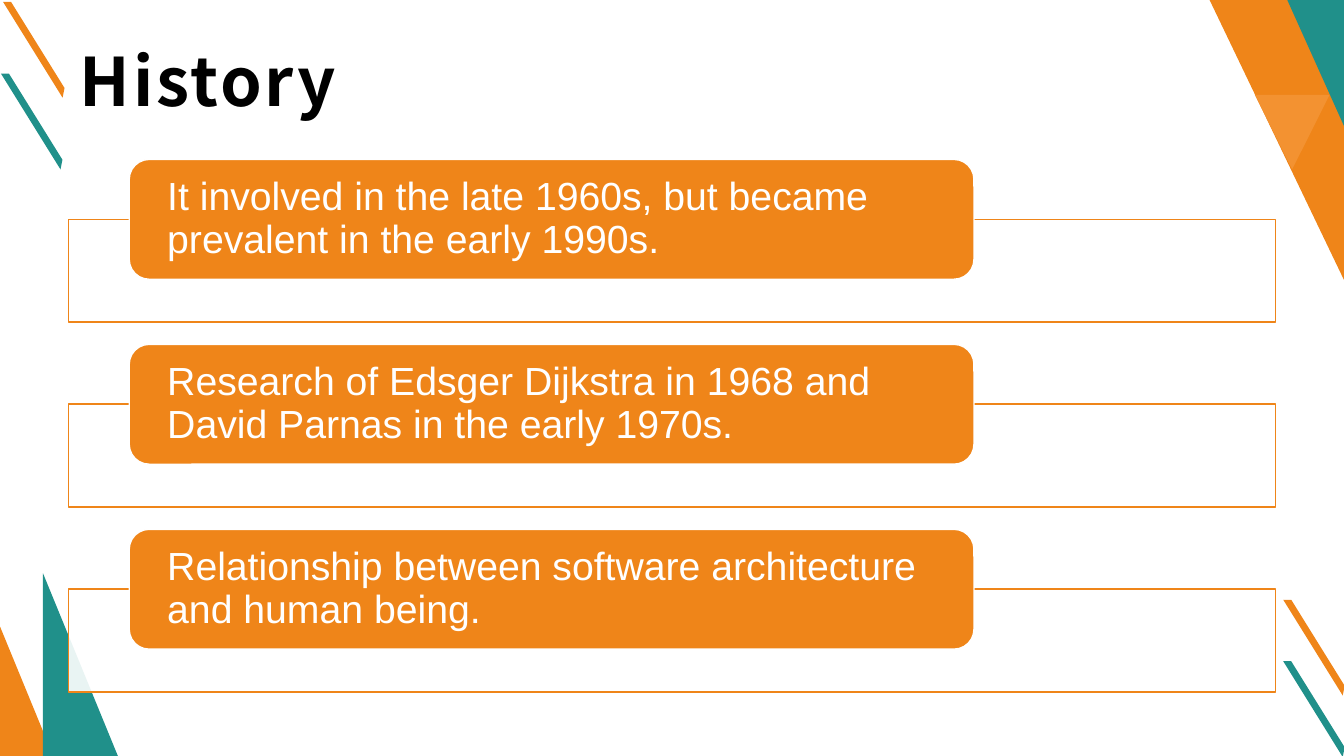
from lxml import etree
from pptx import Presentation
from pptx.dml.color import RGBColor
from pptx.enum import shapes, text
from pptx.oxml import ns
from pptx.util import Pt

ORANGE = RGBColor(0xEF, 0x85, 0x19)
LIGHT_ORANGE = RGBColor(0xF3, 0x92, 0x31)
TEAL = RGBColor(0x20, 0x90, 0x8A)
WHITE = RGBColor(0xFF, 0xFF, 0xFF)
BLACK = RGBColor(0, 0, 0)

deck = Presentation()
deck.slide_width, deck.slide_height = Pt(960), Pt(540)
page = deck.slides.add_slide(deck.slide_layouts[6])


def add_polygon(points, color):
    corners = [(Pt(x), Pt(y)) for x, y in points]
    builder = page.shapes.build_freeform(*corners[0])
    builder.add_line_segments(corners[1:], close=True)
    polygon = builder.convert_to_shape()
    polygon.shadow.inherit = False
    polygon.fill.solid()
    polygon.fill.fore_color.rgb = color
    polygon.line.fill.background()


def add_box(kind, left, top, width, height, fill, line=None):
    box = page.shapes.add_shape(kind, Pt(left), Pt(top), Pt(width), Pt(height))
    box.shadow.inherit = False
    box.fill.solid()
    box.fill.fore_color.rgb = fill
    if line is None:
        box.line.fill.background()
    else:
        box.line.color.rgb = line
        box.line.width = Pt(1)
    return box


# Slanted stripes at the left and right edges
STRIPE = [(0, 0), (5.7, 0), (43.9, 61.5), (42.5, 68.4)]
for left, top, color in [
    (916.6, 428.4, ORANGE),
    (0.7, 52.6, TEAL),
    (2.2, 1.4, ORANGE),
    (916.6, 472.3, TEAL),
]:
    add_polygon([(left + x, top + y) for x, y in STRIPE], color)

# Top right corner
add_polygon([(864, 0), (960, 0), (960, 200)], ORANGE)
add_polygon([(919.5, 0), (960, 0), (960, 90)], TEAL)
add_polygon([(949.7, 67.8), (923, 121), (896.4, 67.8)], LIGHT_ORANGE)

# Bottom left corner
for left, top, width, color in [(0, 447.5, 38, ORANGE), (30.7, 409.5, 53.5, TEAL)]:
    triangle = add_box(shapes.MSO_SHAPE.ISOSCELES_TRIANGLE, left, top, width, 540 - top, color)
    triangle.adjustments[0] = 0

# Title
title = page.shapes.add_textbox(Pt(49), Pt(31.7), Pt(862), Pt(67.7))
frame = title.text_frame
frame.word_wrap = True
frame.margin_left, frame.margin_right = Pt(8), Pt(6)
frame.margin_top = frame.margin_bottom = Pt(3)
para = frame.paragraphs[0]
para.line_spacing = 0.9
span = para.add_run()
span.text = "History"
span.font.name = "Noto Sans CJK SC"
span.font.size = Pt(47.7)
span.font.bold = True
span.font.color.rgb = BLACK
span.font._element.set("spc", "200")

# History list: an outlined panel with a rounded label over its top edge
HISTORY = [
    "It involved in the late 1960s, but became prevalent in the early 1990s.",
    "Research of Edsger Dijkstra in 1968 and David Parnas in the early 1970s.",
    "Relationship between software architecture and human being.",
]
for row, sentence in enumerate(HISTORY):
    top = 113.9 + row * 132.1
    panel = add_box(shapes.MSO_SHAPE.RECTANGLE, 49, top + 42.7, 862, 73.4, WHITE, ORANGE)
    panel_color = panel._element.spPr.find(ns.qn("a:solidFill"))[0]
    etree.SubElement(panel_color, ns.qn("a:alpha"), val="90000")

    label = add_box(shapes.MSO_SHAPE.ROUNDED_RECTANGLE, 92.3, top, 603.4, 85.6, ORANGE, WHITE)
    frame = label.text_frame
    frame.word_wrap = True
    frame.vertical_anchor = text.MSO_ANCHOR.MIDDLE
    frame.margin_left = frame.margin_right = Pt(23)
    frame.margin_top = frame.margin_bottom = 0
    para = frame.paragraphs[0]
    para.text = sentence
    para.alignment = text.PP_ALIGN.LEFT
    para.line_spacing = 0.9
    para.font.name = "Arial"
    para.font.size = Pt(28)
    para.font.color.rgb = WHITE

deck.save("out.pptx")
